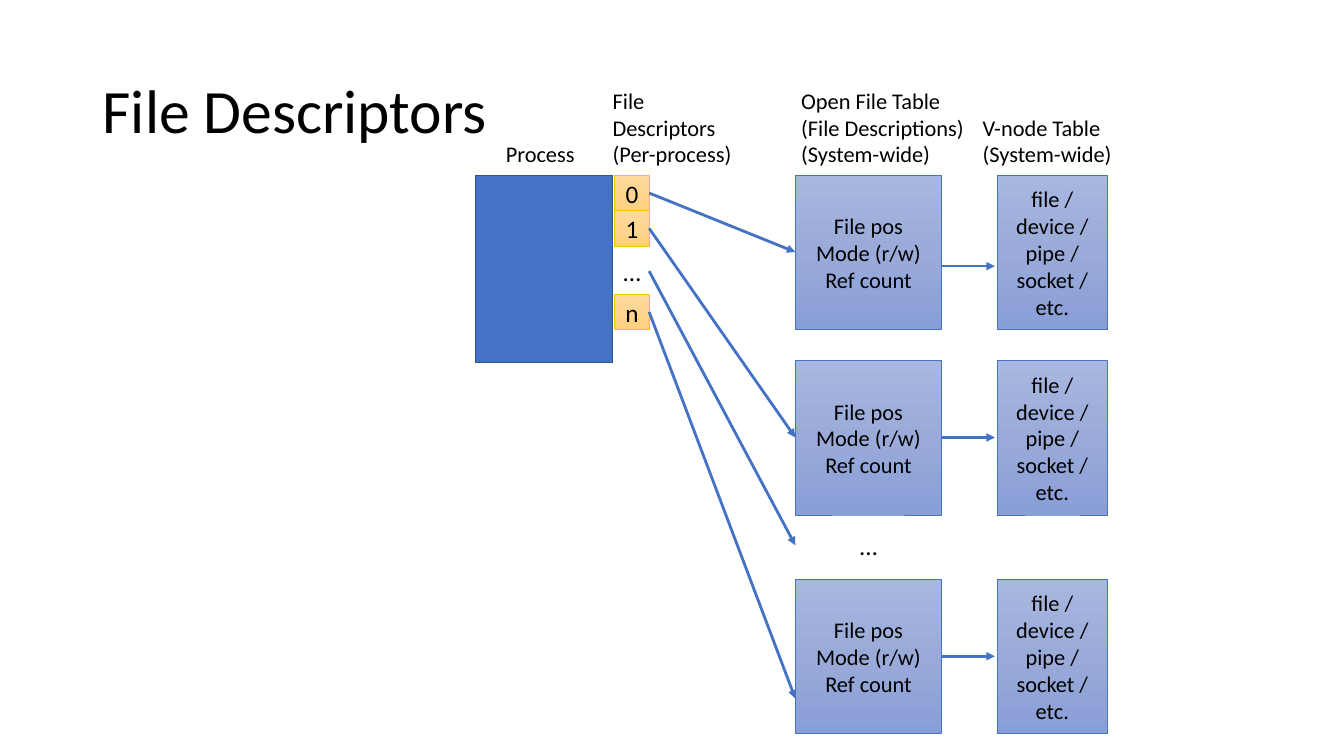
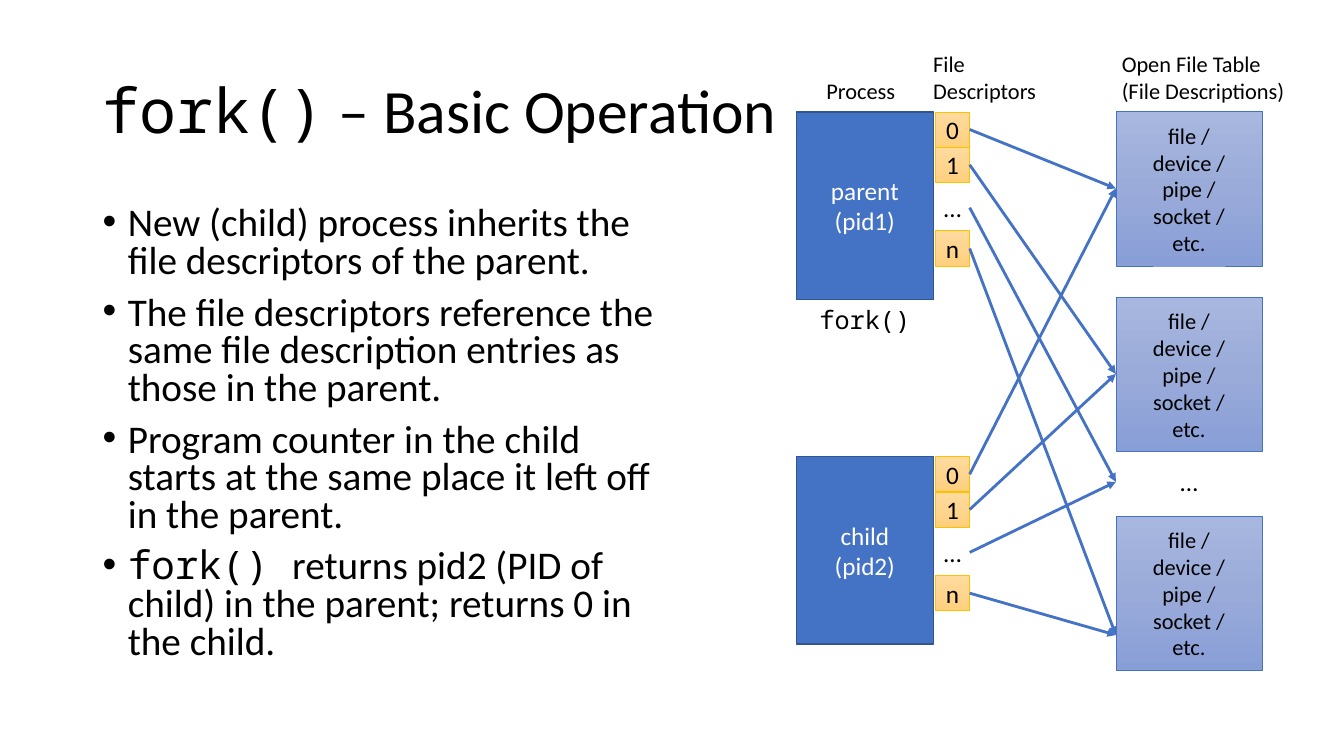
import copy
import dataclasses
import pptx
import pptx.util
import pptx.dml.color
import pptx.enum.shapes
import pptx.enum.text
import pptx.oxml
import pptx.oxml.ns

MID = pptx.enum.text.MSO_ANCHOR.MIDDLE
TOP = pptx.enum.text.MSO_ANCHOR.TOP
LOW = pptx.enum.text.MSO_ANCHOR.BOTTOM
LEFT = pptx.enum.text.PP_ALIGN.LEFT
MIDST = pptx.enum.text.PP_ALIGN.CENTER
ROWS = 75
WIDE, TALL = pptx.util.Inches(13.333), pptx.util.Inches(7.5)


@dataclasses.dataclass(frozen=True)
class Theme:
    """Colours, fonts and type sizes of the deck."""
    sans: str = "Calibri"
    mono: str = "Noto Sans Mono"
    ink: str = "000000"
    pale: str = "FFFFFF"
    blue: str = "4472C4"
    navy: str = "325491"
    gold: str = "FFC000"
    warm: tuple = ("FFDB9E", "FFD590", "FFD07C")
    cool: tuple = ("A8B7DF", "9AABD9", "889ED7")
    title: int = 44
    body: int = 28
    mark: int = 18
    note: int = 16


LOOK = Theme()
SLOTS = (("0", 0), ("1", 3.5), ("…", 7.75), ("n", 11.8))
SLOT_X, SLOT_W, SLOT_H = 13.8, 3.4, 3.5
TABLE_X, TABLE_W, ROW_H = 31.7, 14.5, 15.3
TABLE_Y = (0, 18.4, 40.1)
GOALS = (7.6, 26, 36.7, 51.9)
NODE_X, NODE_W = 51.7, 11
ENTRY = ("File pos", "Mode (r/w)", "Ref count")
KINDS = ("file /", "device /", "pipe /", "socket /", "etc.")


def cells(count):
    """Turn grid cells into a length."""
    return round(TALL * count / ROWS)


def part(box, x, y, w, h):
    """Give a box placed relative to another one."""
    return (box[0] + x, box[1] + y, w, h)


def style(item, **values):
    """Set format values on an object."""
    for name, value in values.items():
        setattr(item, name, value)


def tint(code):
    """Turn a hex code into a colour."""
    return pptx.dml.color.RGBColor.from_string(code)


def write(shape, lines, size, color=LOOK.ink, anchor=MID, align=LEFT, lead=None, gap=0, bullet=False, inset=None):
    """Fill a shape with paragraphs of plain or mixed runs."""
    frame = shape.text_frame
    style(frame, word_wrap=True, vertical_anchor=anchor)
    if inset is not None:
        style(frame, margin_left=inset, margin_right=inset, margin_top=inset, margin_bottom=inset)
    for place, line in enumerate(lines):
        para = frame.add_paragraph() if place else frame.paragraphs[0]
        if bullet:
            props = para._p.get_or_add_pPr()
            props.set("marL", str(cells(2.5)))
            props.set("indent", str(-cells(2.5)))
            for tag, key, value in (("buFont", "typeface", "Arial"), ("buChar", "char", "•")):
                mark = pptx.oxml.parse_xml(f'<a:{tag} {pptx.oxml.ns.nsdecls("a")}/>')
                mark.set(key, value)
                props.append(mark)
        style(para, alignment=align)
        if lead:
            style(para, line_spacing=lead)
        if gap and place:
            style(para, space_before=pptx.util.Pt(gap))
        for text, face in ([(line, LOOK.sans)] if isinstance(line, str) else line):
            run = para.add_run()
            style(run, text=text)
            style(run.font, name=face, size=pptx.util.Pt(size))
            style(run.font.color, rgb=tint(color))


def label(slide, box, lines, size, **values):
    """Add a text box."""
    write(slide.shapes.add_textbox(*map(cells, box)), lines, size, **values)


def block(slide, box, fill, edge, width):
    """Add a rectangle with a flat or graded fill."""
    shape = slide.shapes.add_shape(pptx.enum.shapes.MSO_SHAPE.RECTANGLE, *map(cells, box))
    style(shape.shadow, inherit=False)
    if isinstance(fill, str):
        shape.fill.solid()
        style(shape.fill.fore_color, rgb=tint(fill))
    else:
        shape.fill.gradient()
        style(shape.fill, gradient_angle=270)
        stops = shape._element.spPr.find(".//" + pptx.oxml.ns.qn("a:gsLst"))
        stops.insert(1, copy.deepcopy(stops[0]))
        for place, (stop, code) in enumerate(zip(shape.fill.gradient_stops, fill)):
            style(stop, position=place / 2)
            style(stop.color, rgb=tint(code))
    style(shape.line, width=pptx.util.Pt(width))
    style(shape.line.color, rgb=tint(edge))
    return shape


def arrow(slide, box, start, end):
    """Draw an arrow between two points of a box."""
    ends = [cells(box[axis] + point[axis]) for point in (start, end) for axis in (0, 1)]
    link = slide.shapes.add_connector(pptx.enum.shapes.MSO_CONNECTOR.STRAIGHT, *ends)
    style(link.line, width=pptx.util.Pt(2))
    style(link.line.color, rgb=tint(LOOK.blue))
    space = pptx.oxml.ns.nsdecls("a")
    link.line._get_or_add_ln().append(pptx.oxml.parse_xml(f'<a:tailEnd {space} type="triangle"/>'))
    link._element.spPr.append(pptx.oxml.parse_xml(f"<a:effectLst {space}/>"))


def heading(slide, runs):
    """Add the slide title."""
    label(slide, (9.2, 4, 115, 14.5), [runs], LOOK.title, lead=0.9)


def captions(slide, box, items):
    """Set column captions just above a box."""
    for x, width, lines in items:
        label(slide, part(box, x, -9.4, width, 9.1), lines, LOOK.note, anchor=LOW)


def process(slide, box, lines=(), drop=0):
    """Draw a process, its descriptors and their arrows."""
    home = part(box, 0, drop, 13.6, 18.6)
    write(block(slide, home, LOOK.blue, LOOK.navy, 1), lines, LOOK.mark, LOOK.pale, align=MIDST)
    for (text, y), goal in zip(SLOTS, GOALS):
        spot = part(home, SLOT_X, y, SLOT_W, SLOT_H)
        if text == "…":
            label(slide, spot, [text], LOOK.mark, align=MIDST, inset=0)
        else:
            write(block(slide, spot, LOOK.warm, LOOK.gold, 0.5), [text], LOOK.mark, align=MIDST, inset=0)
        arrow(slide, box, (SLOT_X + SLOT_W, drop + y + SLOT_H / 2), (TABLE_X, goal))


def table(slide, box, x, width, lines):
    """Stack the entries of one system table."""
    for y in TABLE_Y:
        spot = part(box, x, y, width, ROW_H)
        write(block(slide, spot, LOOK.cool, LOOK.blue, 0.5), lines, LOOK.note, align=MIDST)


def files(slide, box, lines):
    """Draw the open file table with its ellipsis."""
    table(slide, box, TABLE_X, TABLE_W, lines)
    label(slide, part(box, TABLE_X, 34.7, TABLE_W, 4), ["…"], LOOK.mark, align=MIDST)


def tables(slide):
    """Build the slide on descriptors and system tables."""
    heading(slide, [("File Descriptors", LOOK.sans)])
    box = (47.2, 17.4, 63, 56)
    captions(slide, box, (
        (2, 12, ["Process"]),
        (12.6, 15, ["File", "Descriptors", "(Per-process)"]),
        (31.3, 21.8, ["Open File Table", "(File Descriptions)", "(System-wide)"]),
        (49.3, 16.8, ["V-node Table (System-wide)"])))
    files(slide, box, ENTRY)
    table(slide, box, NODE_X, NODE_W, KINDS)
    process(slide, box)
    for y in (9, 26, 47.7):
        arrow(slide, box, (TABLE_X + TABLE_W, y), (NODE_X - 0.2, y))


def fork(slide):
    """Build the slide on the fork call."""
    heading(slide, [("fork()", LOOK.mono), (" – Basic Operation", LOOK.sans)])
    label(slide, (9.2, 20, 56.7, 51.2), [
        "New (child) process inherits the file descriptors of the parent.",
        "The file descriptors reference the same file description entries as those in the parent.",
        "Program counter in the child starts at the same place it left off in the parent.",
        [("fork() ", LOOK.mono),
         ("returns pid2 (PID of child) in the parent; returns 0 in the child.", LOOK.sans)],
    ], LOOK.body, anchor=TOP, lead=0.8, gap=10, bullet=True)
    box = (79, 11.1, 46, 56)
    captions(slide, box, (
        (2, 12, ["Process"]),
        (12.6, 15, ["File", "Descriptors"]),
        (31.3, 21.8, ["Open File Table", "(File Descriptions)"])))
    files(slide, box, KINDS)
    process(slide, box, ("parent", "(pid1)"))
    process(slide, box, ("child", "(pid2)"), 34.2)
    label(slide, part(box, 0, 18.6, 13.6, 4), [[("fork()", LOOK.mono)]], LOOK.mark, align=MIDST)


def main():
    """Build and save the deck."""
    deck = pptx.Presentation()
    style(deck, slide_width=WIDE, slide_height=TALL)
    for build in (tables, fork):
        build(deck.slides.add_slide(deck.slide_layouts[6]))
    deck.save("out.pptx")


if __name__ == "__main__":
    main()
